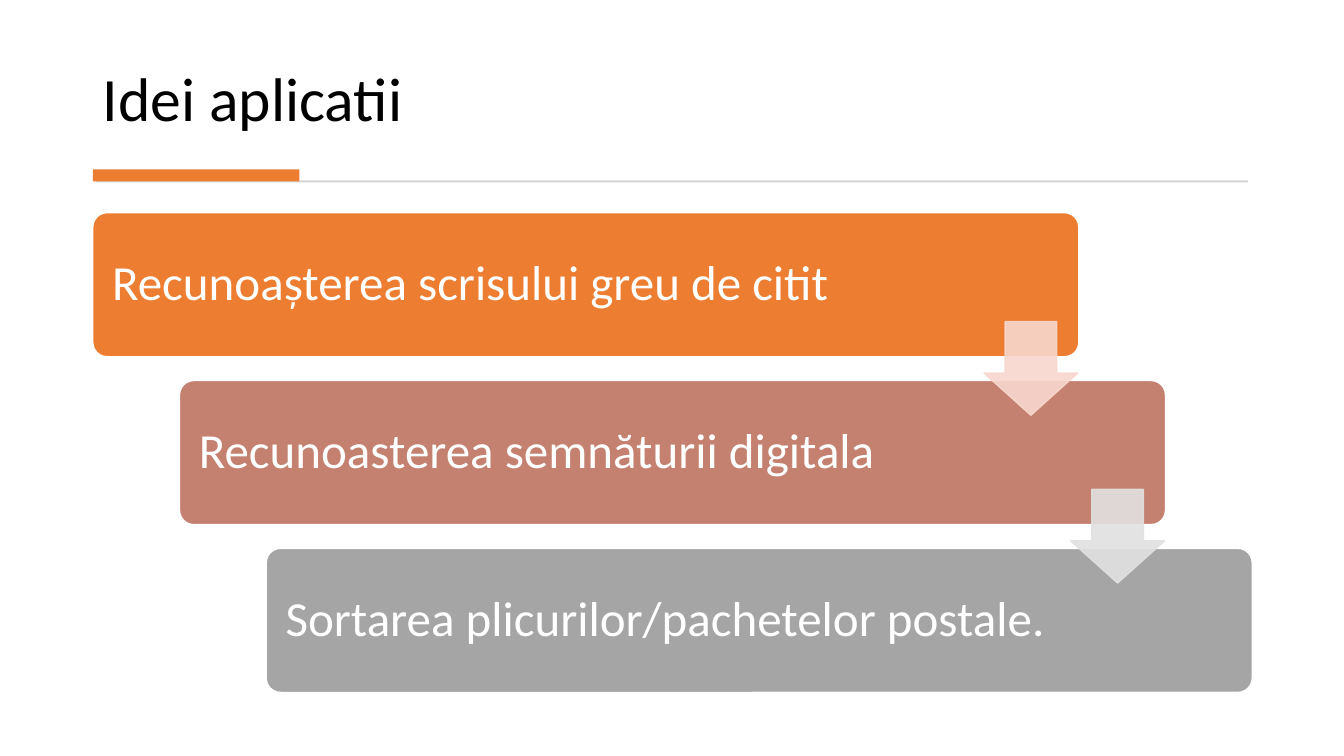
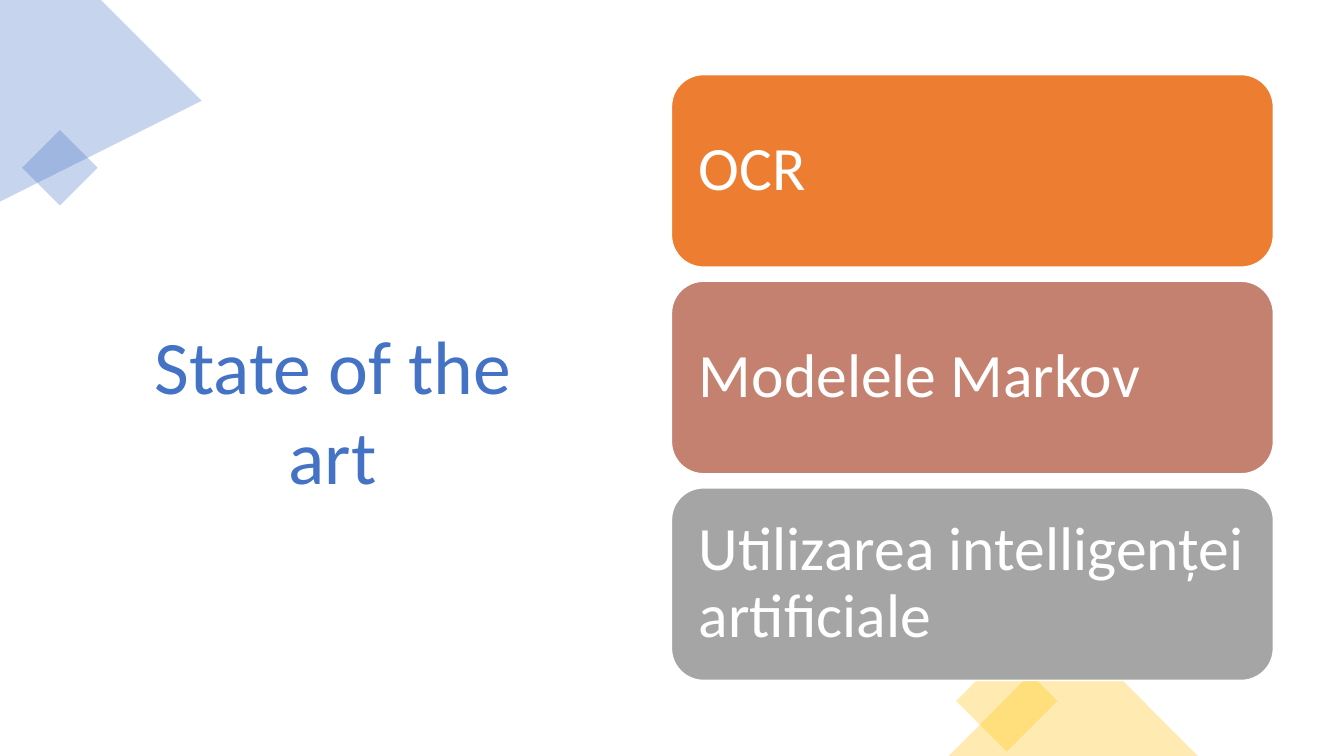
import pptx
import pptx.util
from lxml import etree
from pptx.dml.color import RGBColor
from pptx.enum.shapes import MSO_SHAPE
from pptx.enum.text import MSO_ANCHOR, MSO_AUTO_SIZE, PP_ALIGN
from pptx.oxml.ns import qn
from pptx.util import Inches, Pt

FONT = "Calibri"
BLACK = RGBColor(0x00, 0x00, 0x00)
WHITE = RGBColor(0xFF, 0xFF, 0xFF)
ORANGE = RGBColor(0xED, 0x7D, 0x31)
CLAY = RGBColor(0xC4, 0x81, 0x70)
GRAY = RGBColor(0xA5, 0xA5, 0xA5)
RULE = RGBColor(0xD5, 0xD5, 0xD5)
PEACH = RGBColor(0xF8, 0xD7, 0xCE)
SILVER = RGBColor(0xE1, 0xE1, 0xE1)
BLUE = RGBColor(0x44, 0x72, 0xC4)
YELLOW = RGBColor(0xFF, 0xC0, 0x00)

CARD_COLORS = (ORANGE, CLAY, GRAY)
ARROW_COLORS = (PEACH, SILVER)
LEFT = 0.92
TITLE_ONLY = 5

IDEAS_TITLE = "Idei aplicatii"
IDEAS = (
    "Recunoașterea scrisului greu de citit",
    "Recunoasterea semnăturii digitala",
    "Sortarea plicurilor/pachetelor postale.",
)
METHODS_TITLE = "State of the art"
METHODS = ("OCR", "Modelele Markov", "Utilizarea intelligenței artificiale")


def write(shape, text, size, color, align=PP_ALIGN.LEFT,
          anchor=MSO_ANCHOR.MIDDLE, spacing=0.9, margin=None):
    tf = shape.text_frame
    tf.word_wrap = True
    tf.auto_size = MSO_AUTO_SIZE.NONE
    tf.vertical_anchor = anchor
    if margin is not None:
        tf.margin_left = tf.margin_right = Inches(margin)
        tf.margin_top = tf.margin_bottom = Inches(margin)
    p = tf.paragraphs[0]
    p.alignment = align
    p.line_spacing = spacing
    r = p.add_run()
    r.text = text
    r.font.name = FONT
    r.font.size = Pt(size)
    r.font.color.rgb = color


def paint(shape, fill, line=None, opacity=100):
    shape.shadow.inherit = False
    shape.fill.solid()
    shape.fill.fore_color.rgb = fill
    if line is None:
        shape.line.fill.background()
    else:
        shape.line.color.rgb = line
        shape.line.width = Pt(1)
    if opacity < 100:
        for color in shape.element.spPr.iter(qn("a:srgbClr")):
            etree.SubElement(color, qn("a:alpha"), val=str(opacity * 1000))


def add_block(s, kind, box, fill, adjust=(), rotation=0, **look):
    sp = s.shapes.add_shape(kind, *map(Inches, box))
    for i, value in enumerate(adjust):
        sp.adjustments[i] = value
    sp.rotation = rotation
    paint(sp, fill, **look)
    return sp


def add_cards(s, texts, box, step, size, margin, adjust=()):
    """Stack one rounded card per text, each moved by step (dx, dy)."""
    x, y, w, h = box
    dx, dy = step
    for i, (text, color) in enumerate(zip(texts, CARD_COLORS)):
        card = add_block(s, MSO_SHAPE.ROUNDED_RECTANGLE,
                         (x + i * dx, y + i * dy, w, h), color,
                         adjust=adjust, line=WHITE)
        write(card, text, size, WHITE, margin=margin)


def add_slide(prs, title, box, size, color, **text_format):
    s = prs.slides.add_slide(prs.slide_layouts[TITLE_ONLY])
    sp = s.shapes.title
    sp.left, sp.top, sp.width, sp.height = map(Inches, box)
    write(sp, title, size, color, **text_format)
    return s


def build_ideas(prs):
    s = add_slide(prs, IDEAS_TITLE, (LEFT, 0.28, 11.49, 1.11), 44, BLACK,
                  anchor=MSO_ANCHOR.BOTTOM)
    add_block(s, MSO_SHAPE.RECTANGLE, (0.95, 1.79, 11.43, 0.02), RULE)
    add_block(s, MSO_SHAPE.RECTANGLE, (LEFT, 1.68, 2.05, 0.12), ORANGE)
    dx, dy = step = (0.86, 1.665)
    add_cards(s, IDEAS, (LEFT, 2.11, 9.78, 1.43), step, 35, 0.15, adjust=(0.1,))
    for i, color in enumerate(ARROW_COLORS):
        add_block(s, MSO_SHAPE.DOWN_ARROW,
                  (9.76 + i * dx, 3.19 + i * dy, 0.93, 0.93), color,
                  adjust=(0.55, 0.45), line=color, opacity=90)


def build_methods(prs):
    s = add_slide(prs, METHODS_TITLE, (1.12, 3.11, 4.36, 1.93), 54, BLUE,
                  align=PP_ALIGN.CENTER, anchor=MSO_ANCHOR.TOP, spacing=1.0)
    corner = s.shapes.build_freeform(0, 0, scale=Inches(1))
    corner.add_line_segments([(0.99, 0), (1.59, 0.59), (0.14, 2.04), (0, 1.91)])
    paint(corner.convert_to_shape(), BLUE, opacity=30)
    for kind, box, color, rotation in (
        (MSO_SHAPE.RECTANGLE, (0.33, 1.4, 0.53, 0.53), BLUE, 45),
        (MSO_SHAPE.RECTANGLE, (9.63, 6.6, 0.71, 0.71), YELLOW, 45),
        (MSO_SHAPE.ISOSCELES_TRIANGLE, (9.41, 6.26, 2.47, 1.24), YELLOW, 0),
    ):
        add_block(s, kind, box, color, rotation=rotation, opacity=30)
    add_cards(s, METHODS, (6.66, 0.74, 5.97, 1.91), (0, 2.05), 44, 0.18)


def main():
    prs = pptx.Presentation()
    prs.slide_width, prs.slide_height = Inches(13.33), Inches(7.5)
    build_ideas(prs)
    build_methods(prs)
    prs.save("out.pptx")


if __name__ == "__main__":
    main()
